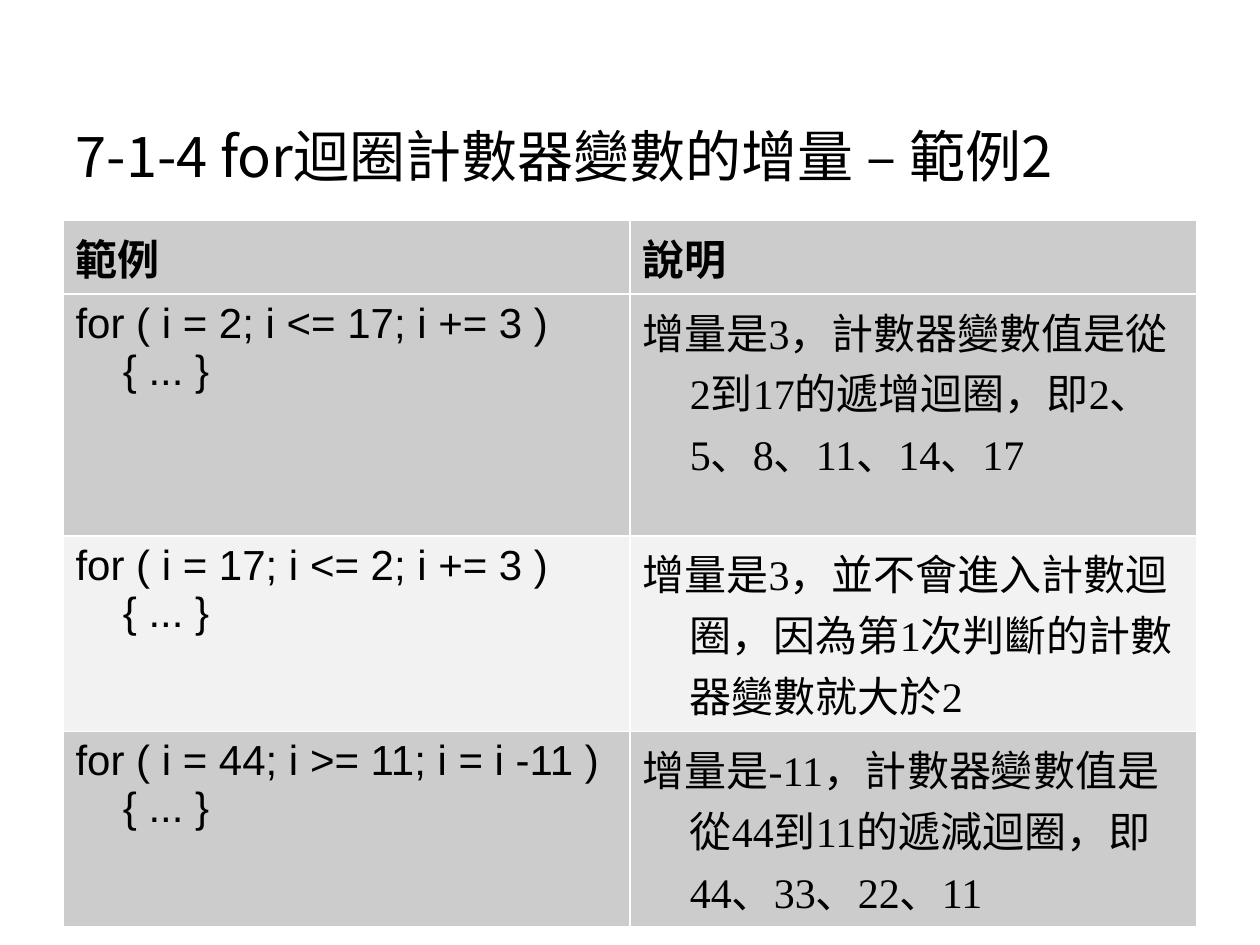
"""Build a slide with a table of for-loop counter increments."""
import pptx
import pptx.dml.color
import pptx.enum.text
import pptx.oxml
import pptx.oxml.ns
import pptx.util

Pt = pptx.util.Pt
COLORS = {"text": "000000", "dark": "CCCCCC", "light": "F2F2F2", "border": "FFFFFF"}
CJK_FONT = "Noto Sans CJK SC"
ROWS = [
    ("範例", "說明"),
    ("for ( i = 2; i <= 17; i += 3 ) { ... }",
     "增量是3，計數器變數值是從2到17的遞增迴圈，即2、5、8、11、14、17"),
    ("for ( i = 17; i <= 2; i += 3 ) { ... }",
     "增量是3，並不會進入計數迴圈，因為第1次判斷的計數器變數就大於2"),
    ("for ( i = 44; i >= 11; i = i -11 ) { ... }",
     "增量是-11，計數器變數值是從44到11的遞減迴圈，即44、33、22、11"),
]
ROW_HEIGHTS = [36, 122.4, 93.6, 93.6]
ROW_FILLS = ["dark", "dark", "light", "dark"]


class SlideBuilder:
    """Hold the style and the current slide."""

    def __init__(self, presentation):
        self.slide = presentation.slides.add_slide(presentation.slide_layouts[5])

    def color(self, name):
        return pptx.dml.color.RGBColor.from_string(COLORS[name])

    def format_text(self, paragraph, size, font_name, bold=False):
        paragraph.alignment = pptx.enum.text.PP_ALIGN.LEFT
        for run in paragraph.runs:
            run.font.size = Pt(size)
            run.font.bold = bold
            run.font.color.rgb = self.color("text")
            run.font.name = font_name
            east_asian = pptx.oxml.parse_xml(
                f'<a:ea {pptx.oxml.ns.nsdecls("a")} typeface="{CJK_FONT}"/>')
            run.font._element.find(pptx.oxml.ns.qn("a:latin")).addnext(east_asian)

    def title(self, text, left, top, width, height):
        shape = self.slide.shapes.title
        shape.left, shape.top = Pt(left), Pt(top)
        shape.width, shape.height = Pt(width), Pt(height)
        frame = shape.text_frame
        frame.text = text
        frame.word_wrap = True
        frame.auto_size = pptx.enum.text.MSO_AUTO_SIZE.NONE
        frame.vertical_anchor = pptx.enum.text.MSO_ANCHOR.BOTTOM
        self.format_text(frame.paragraphs[0], 32, CJK_FONT)

    def border(self, cell, sides):
        for side in sides:
            cell._tc.get_or_add_tcPr().append(pptx.oxml.parse_xml(
                f'<a:ln{side} {pptx.oxml.ns.nsdecls("a")} w="{Pt(0.96)}"><a:solidFill>'
                f'<a:srgbClr val="{COLORS["border"]}"/></a:solidFill></a:ln{side}>'))

    def cell(self, cell, text, font_name, fill, bold, sides):
        self.border(cell, sides)
        cell.fill.solid()
        cell.fill.fore_color.rgb = self.color(fill)
        cell.margin_left = cell.margin_right = Pt(7.2)
        cell.margin_top = cell.margin_bottom = Pt(3.6)
        cell.text_frame.text = text
        paragraph = cell.text_frame.paragraphs[0]
        properties = paragraph._p.get_or_add_pPr()
        properties.set("marL", str(Pt(27)))
        properties.set("indent", str(Pt(-27)))
        self.format_text(paragraph, 24, font_name, bold)

    def table(self, rows, left, top, width):
        shape = self.slide.shapes.add_table(
            len(rows), 2, Pt(left), Pt(top), Pt(width), Pt(sum(ROW_HEIGHTS)))
        table = shape.table
        for row_index, texts in enumerate(rows):
            table.rows[row_index].height = Pt(ROW_HEIGHTS[row_index])
            header = row_index == 0
            for column_index, text in enumerate(texts):
                sides = ["R" if column_index == 0 else "L"]
                if not header:
                    sides.append("T")
                if row_index < len(rows) - 1:
                    sides.append("B")
                is_code = column_index == 0 and not header
                self.cell(table.cell(row_index, column_index), text,
                          "Arial" if is_code else "Times New Roman",
                          ROW_FILLS[row_index], header, sides)


def main():
    presentation = pptx.Presentation()
    presentation.slide_width, presentation.slide_height = Pt(720), Pt(540)
    builder = SlideBuilder(presentation)
    builder.title("7-1-4 for迴圈計數器變數的增量 – 範例2", 36, 21.6, 648, 90)
    builder.table(ROWS, 36, 126, 648)
    presentation.save("out.pptx")


if __name__ == "__main__":
    main()
